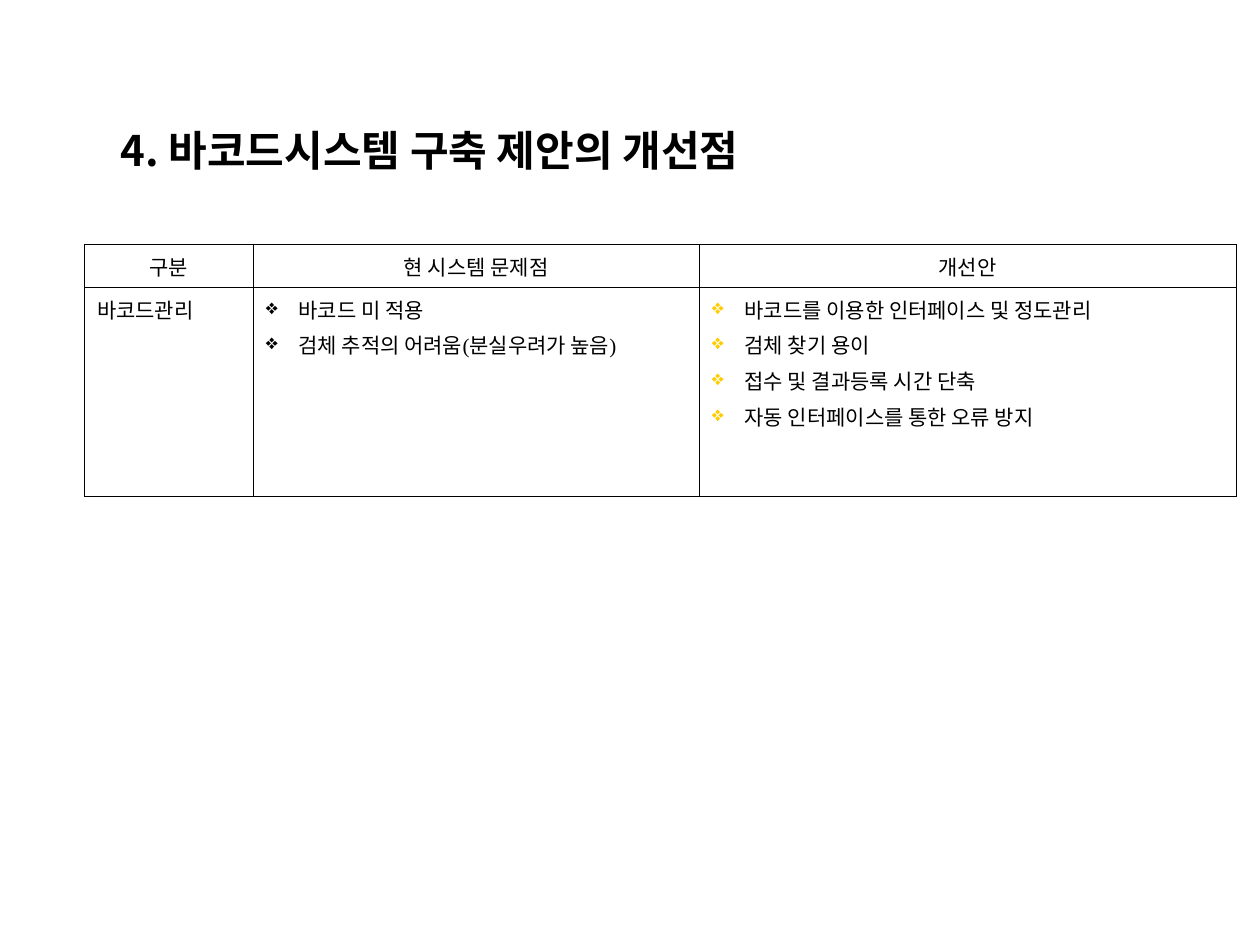
from dataclasses import dataclass

from pptx import Presentation
from pptx.dml.color import RGBColor
from pptx.enum.text import MSO_AUTO_SIZE, PP_ALIGN as Align
from pptx.oxml.ns import qn
from pptx.oxml.xmlchemy import OxmlElement as Element
from pptx.util import Emu, Inches, Pt


@dataclass(frozen=True)
class Theme:
    ink: str = "000000"
    accent: str = "FFCC00"
    title_size: float = 24
    body_size: float = 12
    space_before: float = 3
    border: float = 0.45
    bullet_indent: float = 0.26
    latin: str = "Times New Roman"
    heading: str = "Roboto"
    korean: str = "Noto Sans CJK KR"


@dataclass(frozen=True)
class Entry:
    lines: tuple[str, ...]
    align: Align = Align.LEFT
    bullet: str | None = None


THEME = Theme()
WIDTH, HEIGHT = Inches(10), Inches(7.5)
COLUMNS = (0.134, 0.354, 0.426)
ROWS = (0.04, 0.2213)
HEADINGS = ("구분", "현 시스템 문제점", "개선안")
PROBLEMS = ("바코드 미 적용", "검체 추적의 어려움(분실우려가 높음)")
IMPROVEMENTS = (
    "바코드를 이용한 인터페이스 및 정도관리",
    "검체 찾기 용이",
    "접수 및 결과등록 시간 단축",
    "자동 인터페이스를 통한 오류 방지",
)
GRID = (
    tuple(Entry((heading,), Align.CENTER) for heading in HEADINGS),
    (
        Entry(("바코드관리",)),
        Entry(PROBLEMS, bullet=THEME.ink),
        Entry(IMPROVEMENTS, bullet=THEME.accent),
    ),
)


def across(share: float) -> Emu:
    return Emu(round(WIDTH * share))


def down(share: float) -> Emu:
    return Emu(round(HEIGHT * share))


def child(parent, tag: str, **attributes: str):
    element = Element(tag)
    for key, value in attributes.items():
        element.set(key, value)
    parent.append(element)
    return element


def add_run(paragraph, text: str, size: float, face: str, bold: bool = False) -> None:
    run = paragraph.add_run()
    run.text = text
    run.font.size, run.font.bold, run.font.name = Pt(size), bold, face
    run.font.color.rgb = RGBColor.from_string(THEME.ink)
    run.font._element.find(qn("a:latin")).addnext(
        child(run.font._element, "a:ea", typeface=THEME.korean))


def add_bullet(paragraph, color: str) -> None:
    properties = paragraph._p.get_or_add_pPr()
    indent = Inches(THEME.bullet_indent)
    properties.set("marL", str(indent))
    properties.set("indent", str(-indent))
    child(child(properties, "a:buClr"), "a:srgbClr", val=color)
    child(properties, "a:buChar", char="❖")


def outline(cell) -> None:
    cell.fill.background()
    properties = cell._tc.get_or_add_tcPr()
    for position, side in enumerate("LRTB"):
        line = child(properties, f"a:ln{side}", w=str(Pt(THEME.border)))
        child(child(line, "a:solidFill"), "a:srgbClr", val=THEME.ink)
        properties.insert(position, line)


def fill_cell(cell, entry: Entry) -> None:
    outline(cell)
    for number, line in enumerate(entry.lines):
        frame = cell.text_frame
        paragraph = frame.add_paragraph() if number else frame.paragraphs[0]
        if entry.bullet:
            add_bullet(paragraph, entry.bullet)
        paragraph.alignment = entry.align
        if number:
            paragraph.space_before = Pt(THEME.space_before)
        add_run(paragraph, line, THEME.body_size, THEME.latin)


def add_comparison(slide) -> None:
    table = slide.shapes.add_table(
        len(ROWS), len(COLUMNS), across(0.067), down(0.2587),
        across(sum(COLUMNS)), down(sum(ROWS))).table
    table.first_row = table.horz_banding = False
    for column, share in zip(table.columns, COLUMNS):
        column.width = across(share)
    for row, share, entries in zip(table.rows, ROWS, GRID):
        row.height = down(share)
        for cell, entry in zip(row.cells, entries):
            fill_cell(cell, entry)


def add_title(slide) -> None:
    frame = slide.shapes.add_textbox(
        across(0.086), down(0.1253), across(0.556), down(0.0667)).text_frame
    frame.word_wrap = False
    frame.auto_size = MSO_AUTO_SIZE.SHAPE_TO_FIT_TEXT
    heading = frame.paragraphs[0]
    heading.alignment = Align.LEFT
    add_run(heading, "4. ", THEME.title_size, THEME.korean, bold=True)
    add_run(heading, "바코드시스템 구축 제안의 개선점", THEME.title_size,
            THEME.heading, bold=True)


def main() -> None:
    deck = Presentation()
    deck.slide_width, deck.slide_height = WIDTH, HEIGHT
    slide = deck.slides.add_slide(deck.slide_layouts[6])
    add_comparison(slide)
    add_title(slide)
    deck.save("out.pptx")


if __name__ == "__main__":
    main()
